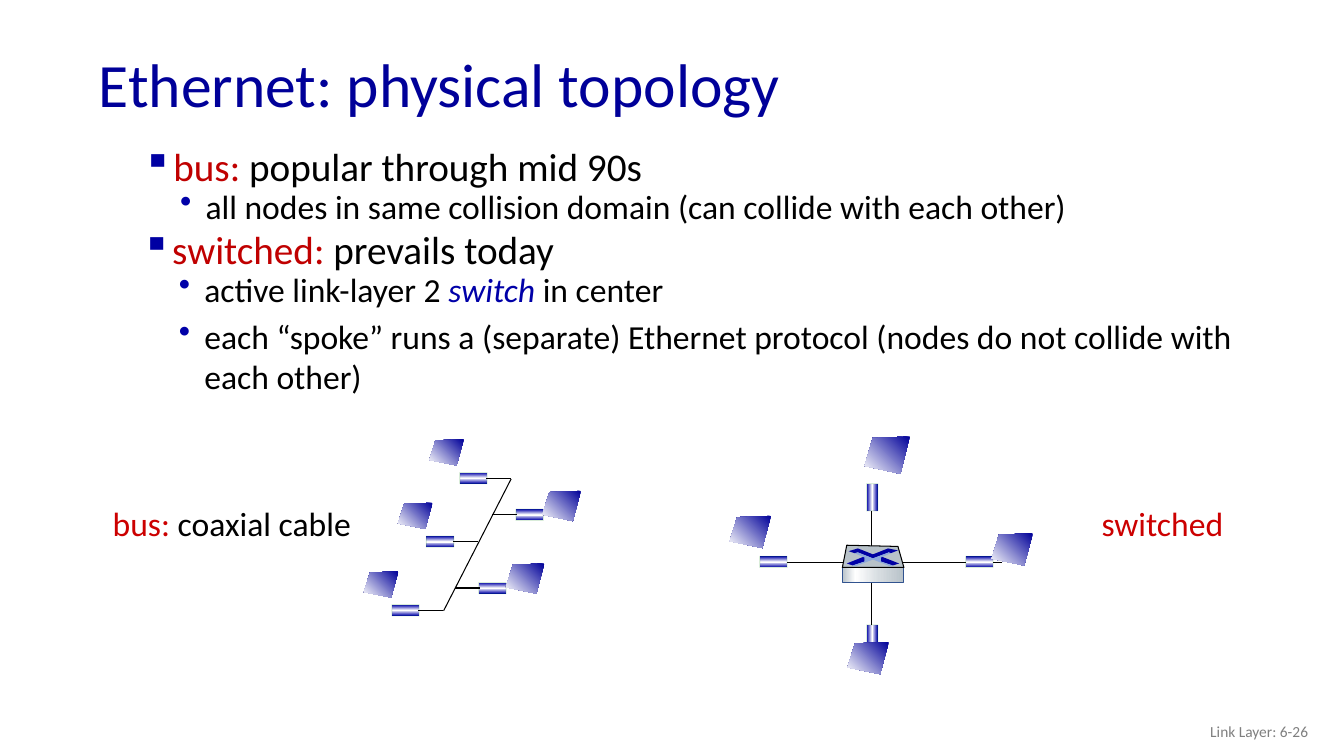
"""Build the slide on the physical topology of Ethernet."""
from dataclasses import dataclass

import pptx
import pptx.dml.color
import pptx.enum.shapes
import pptx.enum.text
import pptx.oxml.ns
import pptx.shapes.autoshape
import pptx.slide
import pptx.util
from lxml import etree

Cm = pptx.util.Cm
Pt = pptx.util.Pt
RGBColor = pptx.dml.color.RGBColor
qn = pptx.oxml.ns.qn
Anchor = pptx.enum.text.MSO_ANCHOR
Align = pptx.enum.text.PP_ALIGN
Point = tuple[float, float]

NAVY = RGBColor(0x00, 0x00, 0x99)
BLUE = RGBColor(0x00, 0x00, 0xA8)
BULLET_BLUE = RGBColor(0x00, 0x00, 0xA3)
PALE_BLUE = RGBColor(0x8D, 0xA9, 0xDB)
EDGE_BLUE = RGBColor(0x31, 0x53, 0x8F)
CRIMSON = RGBColor(0xC0, 0x00, 0x00)
RED = RGBColor(0xCC, 0x00, 0x00)
GREEN = RGBColor(0x00, 0x80, 0x00)
STEEL = RGBColor(0xB8, 0xC2, 0xC9)
LIGHT_STEEL = RGBColor(0xD6, 0xDC, 0xE0)
GRAY = RGBColor(0x7F, 0x7F, 0x7F)
BLACK = RGBColor(0x00, 0x00, 0x00)
WHITE = RGBColor(0xFF, 0xFF, 0xFF)
FONT = "Calibri"
CARD_WIDTH, CARD_HEIGHT = 0.28, 0.69
CARD_STOPS = [(0, BLUE), (50, WHITE), (100, BLUE)]
SCREEN_STOPS = [(0, NAVY), (100, WHITE)]
FRONT_STOPS = [(0, STEEL), (21, WHITE), (60, LIGHT_STEEL), (100, STEEL)]
SCREEN_OUTLINE = [(1, 0), (0.18, 0.04), (0, 0.79), (0.79, 1)]


@dataclass
class Span:
    text: str
    color: RGBColor = BLACK
    italic: bool = False


@dataclass
class Line:
    spans: list[Span]
    size: float
    level: int | None = None
    spacing: float = 1.0
    align: Align = Align.LEFT


@dataclass
class TextBlock:
    left: float
    top: float
    width: float
    height: float
    lines: list[Line]
    anchor: Anchor = Anchor.TOP


@dataclass
class Card:
    x: float
    y: float
    rotation: int
    stub: int = 0


@dataclass
class Screen:
    left: float
    top: float
    width: float
    height: float


@dataclass
class Polygon:
    points: list[Point]
    color: RGBColor
    outlined: bool = False


TEXT_BLOCKS = [
    TextBlock(2.24, 0.97, 29.21, 2.49, [Line([Span("Ethernet: physical topology", NAVY)], 44, spacing=0.9)], Anchor.MIDDLE),
    TextBlock(25.6, 17.91, 7.62, 1.02, [Line([Span("Link Layer: 6-26", GRAY)], 11, align=Align.RIGHT)], Anchor.MIDDLE),
    TextBlock(3.0, 3.73, 30.1, 2.57, [
        Line([Span("bus: ", CRIMSON), Span("popular through mid 90s")], 28, 0, 0.75),
        Line([Span("all nodes in same collision domain (can collide with each other)")], 24, 1, 0.75),
    ]),
    TextBlock(2.97, 5.82, 30.1, 4.55, [
        Line([Span("switched: ", CRIMSON), Span("prevails today")], 28, 0, 0.75),
        Line([Span("active link-layer 2 "), Span("switch ", BLUE, True), Span("in center")], 24, 1, 0.75),
        Line([Span("each “spoke” runs a (separate) Ethernet protocol (nodes do not collide with each other)")], 24, 1),
    ]),
    TextBlock(2.59, 12.55, 6.55, 1.27, [Line([Span("bus: ", RED), Span("coaxial cable")], 24)]),
    TextBlock(27.51, 12.55, 3.61, 1.27, [Line([Span("switched", RED)], 24)]),
]
BULLETS = [("▪", BULLET_BLUE, 1.12, -0.76), ("•", BLUE, 1.93, -0.64)]
CABLES = [
    ((12.88, 12.07), (11.18, 15.39), 0.75),
    ((21.97, 12.85), (21.97, 16.36), 1),
    ((19.3, 14.17), (25.25, 14.17), 1),
]
CARDS = [
    Card(11.93, 12.05, 90, 1), Card(11.09, 13.65, 90, 1), Card(10.22, 15.38, 90, 1),
    Card(12.41, 14.82, 270, -1), Card(13.35, 12.97, 270, -1),
    Card(19.49, 14.16, 90), Card(24.68, 14.16, 90),
    Card(21.98, 16.09, 180), Card(21.98, 12.53, 180),
]
SCREENS = [
    Screen(9.17, 14.4, 0.87, 0.66), Screen(10.03, 12.67, 0.87, 0.66), Screen(10.82, 11.07, 0.87, 0.66),
    Screen(13.67, 12.37, 0.97, 0.76), Screen(12.75, 14.2, 0.97, 0.76),
    Screen(18.39, 13.0, 1.04, 0.81), Screen(24.99, 13.44, 1.04, 0.81),
    Screen(21.36, 16.18, 1.04, 0.81), Screen(21.79, 11.0, 1.14, 0.94),
]
SWITCH_PARTS = [
    Polygon([(21.23, 14.3), (21.34, 13.74), (22.63, 13.77), (22.78, 14.3)], STEEL, True),
    Polygon([(22.38, 13.82), (22.63, 13.87), (22.45, 13.94), (22.4, 13.92), (22, 14.07),
             (21.62, 13.92), (21.54, 13.94), (21.39, 13.89), (21.62, 13.82), (22, 13.97)], BULLET_BLUE),
    Polygon([(22.2, 14.02), (22.66, 14.2), (22.5, 14.25), (22.2, 14.15)], BULLET_BLUE),
    Polygon([(21.79, 14.02), (21.79, 14.15), (21.49, 14.25), (21.34, 14.2)], BLUE),
    Polygon([(21.54, 13.94), (21.62, 13.92), (22, 14.07), (22.4, 13.92), (22.45, 13.94),
             (22.2, 14.05), (22.2, 14.15), (22.5, 14.25), (22.43, 14.27), (22, 14.1),
             (21.56, 14.27), (21.49, 14.25), (21.79, 14.15), (21.79, 14.05)], PALE_BLUE),
]


def add_bullet(paragraph, level: int) -> None:
    character, color, margin, indent = BULLETS[level]
    properties = paragraph._p.get_or_add_pPr()
    properties.set("marL", str(Cm(margin)))
    properties.set("indent", str(Cm(indent)))
    bullet_color = etree.SubElement(properties, qn("a:buClr"))
    etree.SubElement(bullet_color, qn("a:srgbClr"), val=str(color))
    etree.SubElement(properties, qn("a:buChar"), char=character)


def add_text(slide: pptx.slide.Slide, block: TextBlock) -> None:
    shape = slide.shapes.add_textbox(Cm(block.left), Cm(block.top), Cm(block.width), Cm(block.height))
    text_frame = shape.text_frame
    text_frame.word_wrap = True
    text_frame.vertical_anchor = block.anchor
    for index, line in enumerate(block.lines):
        paragraph = text_frame.add_paragraph() if index else text_frame.paragraphs[0]
        if line.level is not None:
            paragraph.level = line.level
            add_bullet(paragraph, line.level)
        paragraph.alignment = line.align
        paragraph.line_spacing = line.spacing
        paragraph.space_before = Pt(5 if index else 0)
        for span in line.spans:
            run = paragraph.add_run()
            run.text = span.text
            run.font.name = FONT
            run.font.size = Pt(line.size)
            run.font.color.rgb = span.color
            run.font.italic = span.italic


def set_gradient(shape: pptx.shapes.autoshape.Shape, stops: list[tuple[int, RGBColor]], angle: float) -> None:
    shape.fill.gradient()
    shape.fill.gradient_angle = angle
    stop_list = shape._element.spPr.find(qn("a:gradFill")).find(qn("a:gsLst"))
    for stop in list(stop_list):
        stop_list.remove(stop)
    for position, color in stops:
        stop = etree.SubElement(stop_list, qn("a:gs"), pos=str(position * 1000))
        etree.SubElement(stop, qn("a:srgbClr"), val=str(color))


def add_cable(slide: pptx.slide.Slide, start: Point, end: Point, width: float = 1) -> None:
    straight = pptx.enum.shapes.MSO_CONNECTOR.STRAIGHT
    connector = slide.shapes.add_connector(straight, *map(Cm, start + end))
    connector.line.color.rgb = BLACK
    connector.line.width = Pt(width)
    etree.SubElement(connector._element.spPr, qn("a:effectLst"))


def add_rectangle(slide: pptx.slide.Slide, left: float, top: float, width: float, height: float,
                  stops: list[tuple[int, RGBColor]], edge: RGBColor) -> pptx.shapes.autoshape.Shape:
    rectangle = pptx.enum.shapes.MSO_SHAPE.RECTANGLE
    shape = slide.shapes.add_shape(rectangle, Cm(left), Cm(top), Cm(width), Cm(height))
    shape.shadow.inherit = False
    set_gradient(shape, stops, 0)
    shape.line.color.rgb = edge
    shape.line.width = Pt(0.75)
    return shape


def add_card(slide: pptx.slide.Slide, card: Card) -> None:
    shape = add_rectangle(slide, card.x - CARD_WIDTH / 2, card.y - CARD_HEIGHT / 2,
                          CARD_WIDTH, CARD_HEIGHT, CARD_STOPS, GREEN)
    shape.rotation = card.rotation
    edge_color = shape.line._ln.find(qn("a:solidFill"))[0]
    etree.SubElement(edge_color, qn("a:alpha"), val="15000")
    if card.stub:
        add_cable(slide, (card.x + 0.32 * card.stub, card.y), (card.x + 0.95 * card.stub, card.y))


def add_outline(slide: pptx.slide.Slide, points: list[Point]) -> pptx.shapes.autoshape.Shape:
    corners = [(Cm(x), Cm(y)) for x, y in points]
    builder = slide.shapes.build_freeform(*corners[0])
    builder.add_line_segments(corners[1:], close=True)
    shape = builder.convert_to_shape()
    shape.shadow.inherit = False
    shape.line.fill.background()
    return shape


def add_screen(slide: pptx.slide.Slide, screen: Screen) -> None:
    points = [(screen.left + x * screen.width, screen.top + y * screen.height) for x, y in SCREEN_OUTLINE]
    set_gradient(add_outline(slide, points), SCREEN_STOPS, 225)


def add_polygon(slide: pptx.slide.Slide, polygon: Polygon) -> None:
    shape = add_outline(slide, polygon.points)
    shape.fill.solid()
    shape.fill.fore_color.rgb = polygon.color
    if polygon.outlined:
        shape.line.color.rgb = BLACK
        shape.line.width = Pt(0.75)


def main() -> None:
    presentation = pptx.Presentation()
    presentation.slide_width, presentation.slide_height = Cm(33.87), Cm(19.05)
    slide = presentation.slides.add_slide(presentation.slide_layouts[6])
    for block in TEXT_BLOCKS:
        add_text(slide, block)
    for start, end, width in CABLES:
        add_cable(slide, start, end, width)
    for card in CARDS:
        add_card(slide, card)
    for screen in SCREENS:
        add_screen(slide, screen)
    add_rectangle(slide, 21.23, 14.3, 1.55, 0.38, FRONT_STOPS, EDGE_BLUE)
    for polygon in SWITCH_PARTS:
        add_polygon(slide, polygon)
    presentation.save("out.pptx")


if __name__ == "__main__":
    main()
